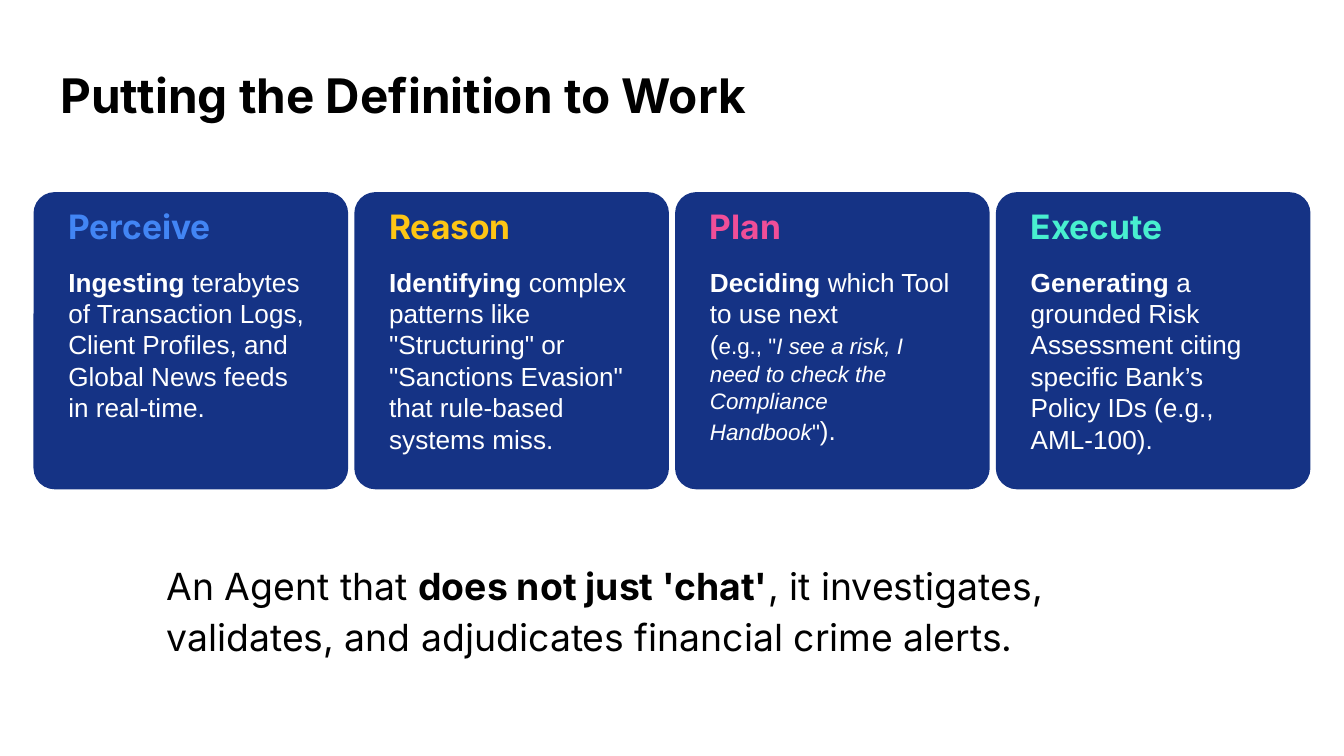
"""Build the slide that applies the agent definition in four cards."""
from typing import NamedTuple, Optional

import pptx
import pptx.dml.color
import pptx.enum.shapes
import pptx.util

Inches = pptx.util.Inches
Pt = pptx.util.Pt

NAVY = "153385"
WHITE = "FFFFFF"
BLACK = "000000"
CARD_LEFT, CARD_TOP, CARD_WIDTH, CARD_HEIGHT = 0.26, 1.44, 2.32, 2.19
CARD_PITCH = (7.42 - CARD_LEFT) / 3
TEXT_INSET = 0.15


class Run(NamedTuple):
    text: str
    bold: bool = False
    italic: bool = False
    size: Optional[float] = None
    new_line: bool = False


class Card(NamedTuple):
    heading: str
    color: str
    body: list[Run]


CARDS = [
    Card("Perceive", "4285F4", [
        Run("Ingesting", bold=True),
        Run(" terabytes of Transaction Logs, Client Profiles, and Global News feeds in real-time."),
    ]),
    Card("Reason", "FEC514", [
        Run("Identifying", bold=True),
        Run(' complex patterns like "Structuring" or "Sanctions Evasion" that rule-based systems miss.'),
    ]),
    Card("Plan", "F04E98", [
        Run("Deciding", bold=True),
        Run(" which Tool to use next "),
        Run("(", new_line=True),
        Run('e.g., "', size=12),
        Run("I see a risk, I need to check the Compliance Handbook", italic=True, size=12),
        Run('"', size=12),
        Run(")."),
    ]),
    Card("Execute", "48EFCF", [
        Run("Generating", bold=True),
        Run(" a grounded Risk Assessment citing specific Bank’s Policy IDs (e.g., AML-100)."),
    ]),
]


def rgb(value: str) -> pptx.dml.color.RGBColor:
    return pptx.dml.color.RGBColor.from_string(value)


def add_text(s, left: float, top: float, width: float, height: float,
             runs: list[Run], font: str, size: float, color: str):
    sp = s.shapes.add_textbox(Inches(left), Inches(top), Inches(width), Inches(height))
    tf = sp.text_frame
    tf.word_wrap = True
    tf.margin_left = tf.margin_right = tf.margin_top = tf.margin_bottom = Inches(0.1)
    p = tf.paragraphs[0]
    p.font.name = font
    p.font.size = Pt(size)
    p.font.color.rgb = rgb(color)
    p.font.bold = all(run.bold for run in runs)
    for run in runs:
        if run.new_line:
            p.add_line_break()
        r = p.add_run()
        r.text = run.text
        if run.bold != p.font.bold:
            r.font.bold = run.bold
        if run.italic:
            r.font.italic = True
        if run.size:
            r.font.size = Pt(run.size)
    return p


def add_card(s, card: Card, left: float) -> None:
    sp = s.shapes.add_shape(
        pptx.enum.shapes.MSO_SHAPE.ROUNDED_RECTANGLE,
        Inches(left), Inches(CARD_TOP), Inches(CARD_WIDTH), Inches(CARD_HEIGHT))
    sp.adjustments[0] = 0.067
    sp.shadow.inherit = False
    sp.fill.solid()
    sp.fill.fore_color.rgb = rgb(NAVY)
    sp.line.color.rgb = rgb(NAVY)
    sp.line.width = Pt(1.5)
    text_left = left + TEXT_INSET
    add_text(s, text_left, 1.43, 1.98, 0.5, [Run(card.heading, bold=True)], "Inter", 18, card.color)
    add_text(s, text_left, 1.88, 2.02, 1.62, card.body, "Arial", 14, WHITE)


def main() -> None:
    prs = pptx.Presentation()
    prs.slide_width = Inches(10)
    prs.slide_height = prs.slide_width * 9 // 16
    s = prs.slides.add_slide(prs.slide_layouts[6])
    add_text(s, 0.35, 0.39, 9.4, 0.52,
             [Run("Putting the Definition to Work", bold=True)], "Inter", 25.5, BLACK)
    for i, card in enumerate(CARDS):
        add_card(s, card, CARD_LEFT + i * CARD_PITCH)
    p = add_text(s, 1.14, 4.04, 7.72, 0.93, [
        Run("An Agent that "),
        Run("does not just 'chat'", bold=True),
        Run(", it investigates, validates, and adjudicates financial crime alerts."),
    ], "Inter", 20, BLACK)
    p.line_spacing = 1.15
    p.space_after = Pt(11)
    prs.save("out.pptx")


if __name__ == "__main__":
    main()
